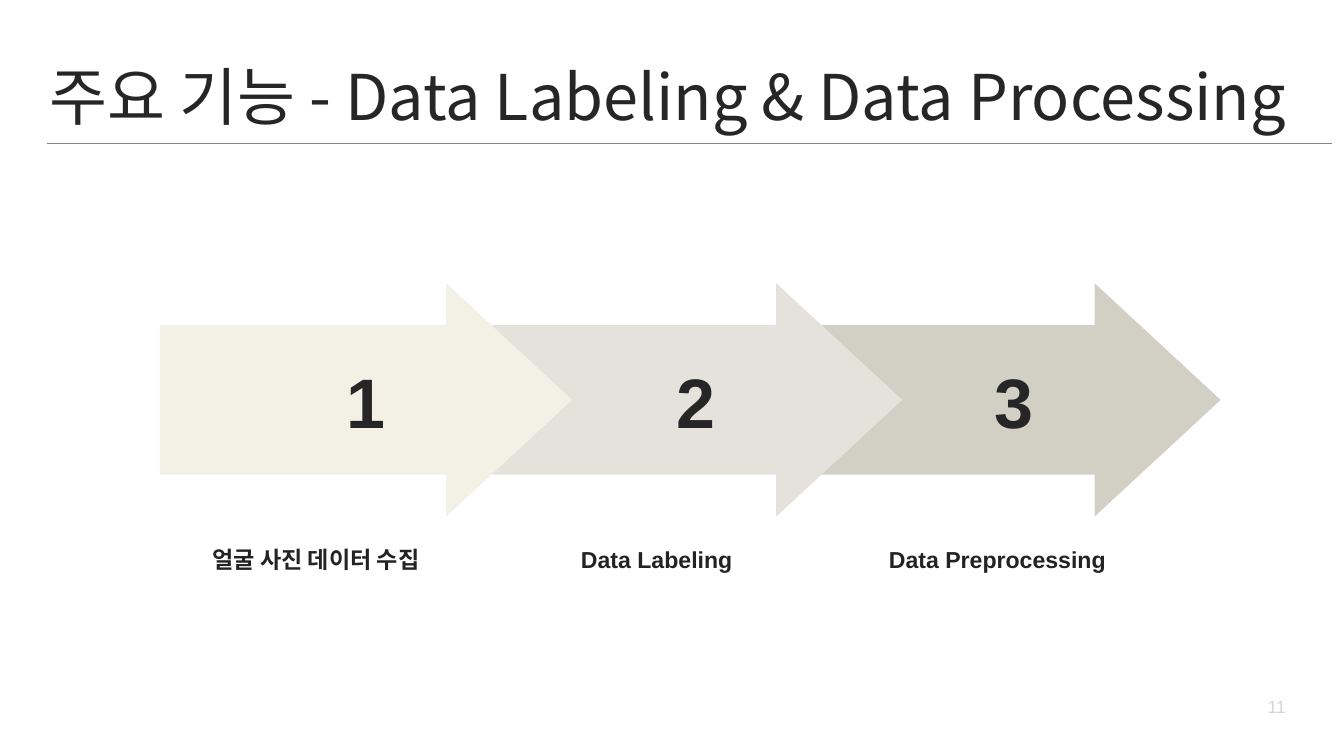
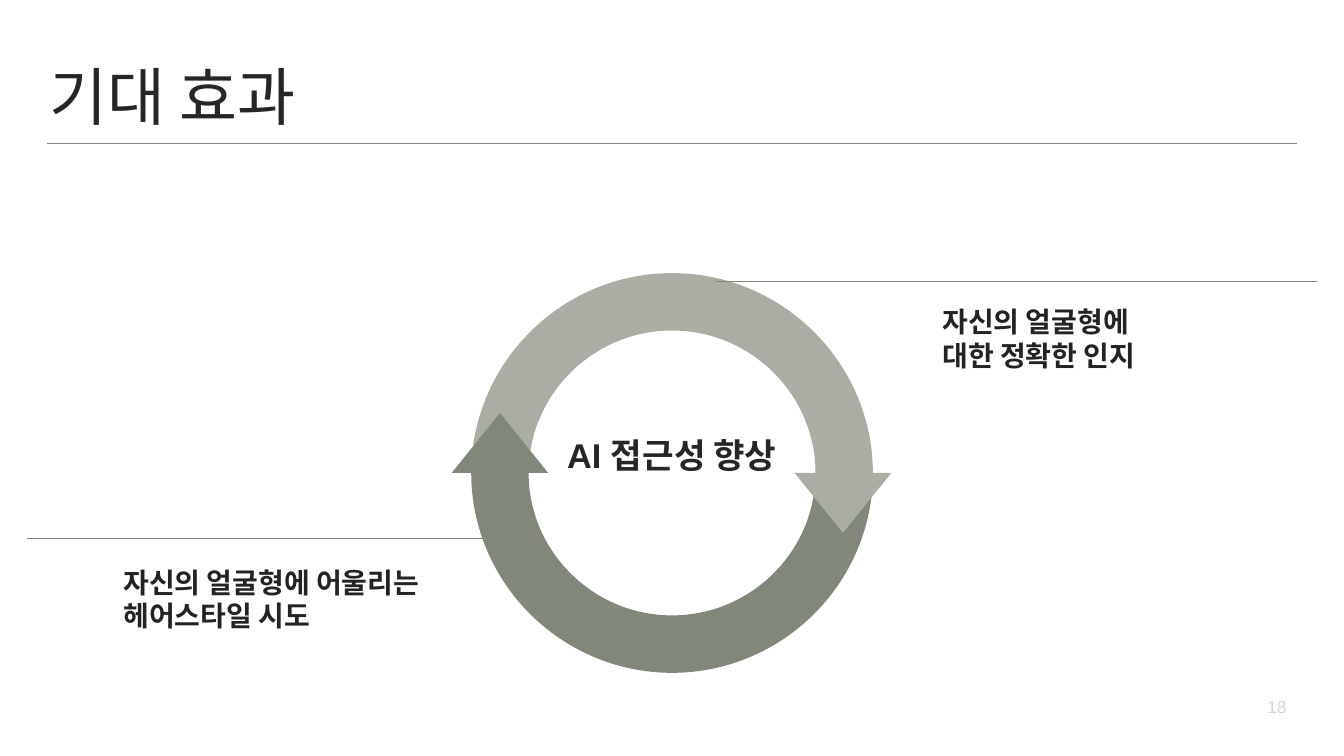
from lxml.etree import Element, SubElement
from pptx import Presentation
from pptx.dml.color import RGBColor
from pptx.enum.shapes import MSO_CONNECTOR, MSO_SHAPE
from pptx.enum.text import MSO_ANCHOR, PP_ALIGN
from pptx.oxml.ns import qn
from pptx.util import Pt

INK = RGBColor(0x26, 0x26, 0x26)
DARK = RGBColor(0x23, 0x23, 0x23)
PALE = RGBColor(0xD5, 0xD5, 0xD5)
OLIVE = RGBColor(0x81, 0x87, 0x79)
SAGE = RGBColor(0xA9, 0xAD, 0xA4)
CREAM = RGBColor(0xF3, 0xF1, 0xE6)
SAND = RGBColor(0xE5, 0xE2, 0xDC)
STONE = RGBColor(0xD2, 0xCF, 0xC4)

EAST = "Noto Sans CJK KR"
TITLE = {"name": EAST, "size": Pt(90), "bold": False}
PAGE = {"name": "Arial", "size": Pt(25), "bold": False}
COUNT = {"name": "Arial", "size": Pt(100), "bold": True}
LABEL = {"name": "Arial", "size": Pt(33), "bold": True}
NOTE = {"name": "Arial", "size": Pt(40), "bold": True}
CORE = {"name": "Arial", "size": Pt(49), "bold": True}

BEND = 0.55
ARCH = [(-1, 0), (-1, -BEND), (-BEND, -1), (0, -1), (BEND, -1), (1, -BEND), (1, 0)]


def add_text(slide, box, lines, font, color, align=PP_ALIGN.LEFT, inset=5.76,
             anchor=MSO_ANCHOR.TOP, wrap=True, space=1.0):
    frame = slide.shapes.add_textbox(*map(Pt, box)).text_frame
    look = {"word_wrap": wrap, "vertical_anchor": anchor}
    for side in ("left", "top", "right", "bottom"):
        look["margin_" + side] = Pt(inset)
    for key, value in look.items():
        setattr(frame, key, value)
    for row, line in enumerate(lines):
        para = frame.add_paragraph() if row else frame.paragraphs[0]
        para.alignment = align
        para.line_spacing = space
        run = para.add_run()
        run.text = line
        for key, value in font.items():
            setattr(run.font, key, value)
        run.font.color.rgb = color
        SubElement(run.font._element, qn("a:ea")).set("typeface", EAST)


def add_rule(slide, left, right, top):
    rule = slide.shapes.add_connector(
        MSO_CONNECTOR.STRAIGHT, Pt(left), Pt(top), Pt(right), Pt(top))
    rule.line.color.rgb = OLIVE
    rule.line.width = Pt(2)
    SubElement(rule._element.spPr, qn("a:effectLst"))


def paint(shape, color):
    shape.shadow.inherit = False
    shape.fill.solid()
    shape.fill.fore_color.rgb = color
    shape.line.fill.background()


def add_frame(slide, title, page, width, end):
    add_text(slide, (1806, 979.2, 36, 38), [page], PAGE, PALE,
             PP_ALIGN.CENTER, 4, wrap=False, space=1.35)
    add_text(slide, (66.24, 78.5, width, 149.8), [title], TITLE, INK, inset=4)
    add_rule(slide, 67, end, 205.2)


def add_step(slide, box, count, color):
    left, top, width, height = box
    arrow = slide.shapes.add_shape(MSO_SHAPE.RIGHT_ARROW, *map(Pt, box))
    arrow.adjustments[0] = 0.64
    arrow.adjustments[1] = 0.54
    paint(arrow, color)
    add_text(slide, (left, top + 94.8, width, 144.7), [count], COUNT, INK,
             PP_ALIGN.CENTER, 4, MSO_ANCHOR.MIDDLE)


def add_steps(slide, box):
    left, top, width, height = box
    steps = [
        (0, CREAM, "얼굴 사진 데이터 수집"),
        (471.6, SAND, "Data Labeling"),
        (926.4, STONE, "Data Preprocessing"),
    ]
    for spot, (shift, color, _) in reversed(list(enumerate(steps))):
        add_step(slide, (left + shift, top, width, height), str(spot + 1), color)
    for spot, (_, _, label) in enumerate(steps):
        add_text(slide, (left - 1.5 + spot * 486.7, top + 369.4, 449.3,
                         67.7 if spot else 131.8),
                 [label], LABEL, DARK, PP_ALIGN.CENTER)


def add_arc(slide, box, side, color, band=82):
    left, top, width, height = box
    mid_x, mid_y = left + width / 2, top + height / 2

    def trace(gap):
        return [(Pt(mid_x + (width / 2 - gap) * across),
                 Pt(mid_y + (height / 2 - gap) * down * side))
                for across, down in ARCH]

    first, *rest = trace(0) + trace(band)[::-1]
    path = slide.shapes.build_freeform(*first)
    path.add_line_segments(rest, close=True)
    arc = path.convert_to_shape()
    legs = list(arc._element.iter(qn("a:lnTo")))
    for start in (0, 3, 7, 10):
        curve = Element(qn("a:cubicBezTo"))
        legs[start].addprevious(curve)
        for leg in legs[start:start + 3]:
            curve.append(leg[0])
            leg.getparent().remove(leg)
    paint(arc, color)


def add_tip(slide, mid, top, color, turn):
    tip = slide.shapes.add_shape(
        MSO_SHAPE.ISOSCELES_TRIANGLE, Pt(mid - 69), Pt(top), Pt(138), Pt(85.5))
    tip.rotation = turn
    paint(tip, color)


def add_cycle(slide, box):
    left, top, width, height = box
    half = top + height / 2
    add_arc(slide, box, -1, OLIVE)
    add_arc(slide, box, 1, SAGE)
    add_tip(slide, left + width - 42.8, half, SAGE, 180)
    add_tip(slide, left + 41, half - 85.5, OLIVE, 0)


def add_note(slide, box, rule, lines):
    add_rule(slide, *rule)
    add_text(slide, box, lines, NOTE, DARK)


def main():
    deck = Presentation()
    deck.slide_width, deck.slide_height = Pt(1920), Pt(1080)
    flow, gain = [deck.slides.add_slide(deck.slide_layouts[6]) for _ in range(2)]

    add_frame(flow, "주요 기능 - Data Labeling & Data Processing", "11", 1828, 1903)
    add_steps(flow, (228.3, 404.6, 589, 333.4))

    add_frame(gain, "기대 효과", "18", 859.7, 1852.5)
    add_cycle(gain, (673.2, 390.2, 573.8, 571))
    add_note(gain, (1340.6, 429.8, 337.7, 128.9), (1022.4, 1882, 401.8),
             ["자신의 얼굴형에", "대한 정확한 인지"])
    add_note(gain, (170.6, 801.4, 488.9, 128.9), (38.2, 764.6, 769.7),
             ["자신의 얼굴형에 어울리는", "헤어스타일 시도"])
    add_text(gain, (781.2, 621.4, 357.1, 108.7), ["AI 접근성 향상"],
             CORE, INK, PP_ALIGN.CENTER, space=0.9)
    deck.save("out.pptx")


if __name__ == "__main__":
    main()
